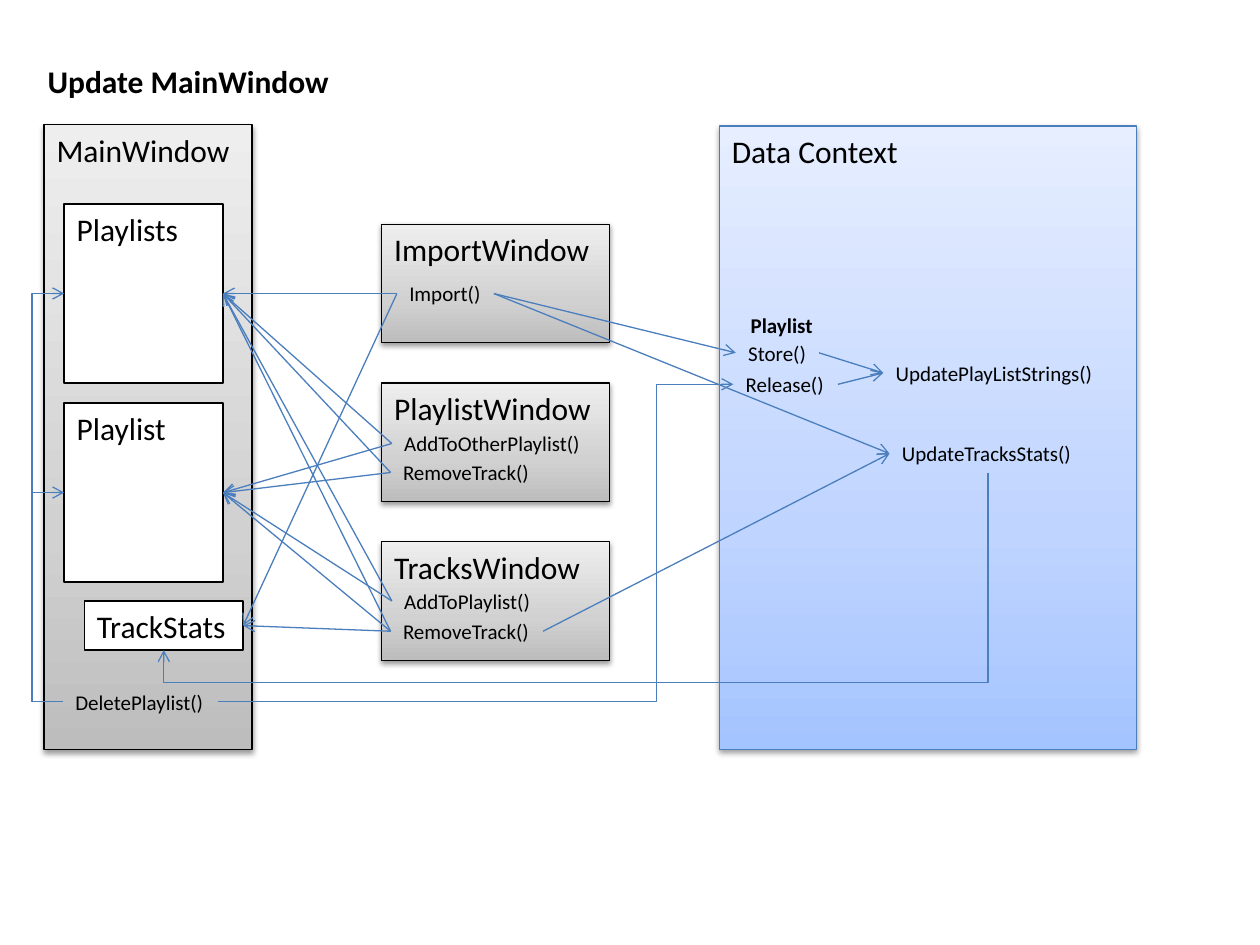
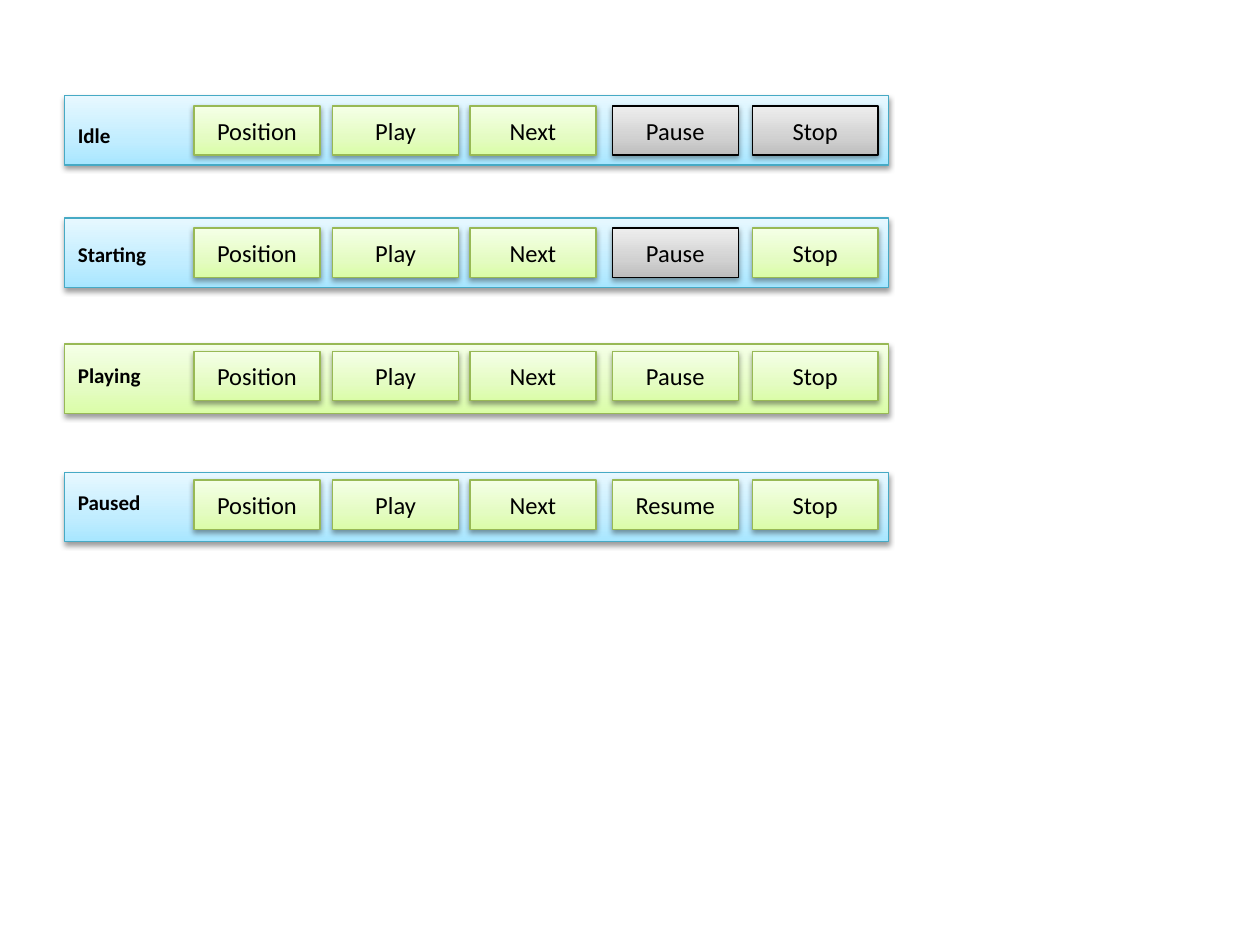
from lxml import etree
from copy import deepcopy
from pptx import Presentation
from pptx.dml.color import RGBColor
from pptx.enum.shapes import MSO_CONNECTOR, MSO_SHAPE
from pptx.enum.text import MSO_ANCHOR, MSO_AUTO_SIZE, PP_ALIGN
from pptx.oxml.ns import qn
from pptx.util import Inches, Pt

RECTANGLE = MSO_SHAPE.RECTANGLE
STRAIGHT, ELBOW = MSO_CONNECTOR.STRAIGHT, MSO_CONNECTOR.ELBOW
TOP, MIDDLE = MSO_ANCHOR.TOP, MSO_ANCHOR.MIDDLE
LEFT, CENTER = PP_ALIGN.LEFT, PP_ALIGN.CENTER
FIT_TEXT = MSO_AUTO_SIZE.SHAPE_TO_FIT_TEXT

FONT = "Calibri"
BLACK = RGBColor(0x00, 0x00, 0x00)
WHITE = RGBColor(0xFF, 0xFF, 0xFF)
BLUE_LINE = RGBColor(0x4B, 0x7E, 0xBC)
AQUA_LINE = RGBColor(0x46, 0xAA, 0xC5)
GREEN_LINE = RGBColor(0x98, 0xB9, 0x55)

# Each theme is an outline colour and the gradient colours from bottom to top.
GRAY = (BLACK, (RGBColor(0xBD, 0xBD, 0xBD), RGBColor(0xD1, 0xD1, 0xD1),
                RGBColor(0xEE, 0xEE, 0xEE)))
BLUE = (BLUE_LINE, (RGBColor(0xA4, 0xC4, 0xFF), RGBColor(0xBF, 0xD4, 0xFF),
                    RGBColor(0xE6, 0xEE, 0xFF)))
AQUA = (AQUA_LINE, (RGBColor(0xA7, 0xE6, 0xFF), RGBColor(0xC1, 0xED, 0xFF),
                    RGBColor(0xE7, 0xF8, 0xFF)))
GREEN = (GREEN_LINE, (RGBColor(0xDA, 0xFD, 0xA7), RGBColor(0xE4, 0xFC, 0xC2),
                      RGBColor(0xF5, 0xFF, 0xE7)))
STOPS = (0, 0.35, 1)


def left_of(shape):
    """Return the middle of the left edge."""
    return shape.left, shape.top + shape.height // 2


def right_of(shape):
    """Return the middle of the right edge."""
    return shape.left + shape.width, shape.top + shape.height // 2


def bottom_of(shape):
    """Return the middle of the bottom edge."""
    return shape.left + shape.width // 2, shape.top + shape.height


class Diagram:
    """Hold the deck style and the slide being drawn."""

    def __init__(self):
        """Start an empty 10 by 7.5 inch deck."""
        self.deck = Presentation()
        self.deck.slide_width, self.deck.slide_height = Inches(10), Inches(7.5)
        self.page = None

    def new_page(self):
        """Add a blank slide and make it current."""
        self.page = self.deck.slides.add_slide(self.deck.slide_layouts[6])

    def set_text(self, shape, text, size, bold=False, align=LEFT, anchor=TOP):
        """Put one styled line of text into a shape."""
        frame = shape.text_frame
        frame.text = text
        frame.vertical_anchor = anchor
        para = frame.paragraphs[0]
        para.alignment = align
        for span in para.runs:
            span.font.name, span.font.size = FONT, Pt(size)
            span.font.bold, span.font.color.rgb = bold, BLACK

    def rectangle(self, place, outline, width):
        """Add a rectangle with a plain outline and no shadow."""
        box = self.page.shapes.add_shape(RECTANGLE, *map(Inches, place))
        box.shadow.inherit = False
        box.line.color.rgb, box.line.width = outline, Pt(width)
        return box

    def pane(self, text, *place):
        """Add a white pane with a heading."""
        box = self.rectangle(place, BLACK, 1)
        box.fill.solid()
        box.fill.fore_color.rgb = WHITE
        self.set_text(box, text, 18)
        return box

    def panel(self, theme, *place):
        """Add a gradient rectangle with a soft shadow below it."""
        outline, colors = theme
        box = self.rectangle(place, outline, 0.75)
        box.fill.gradient()
        box.fill.gradient_angle = 90
        properties = box._element.spPr
        stops = properties.find(".//" + qn("a:gsLst"))
        stops.append(deepcopy(stops[-1]))
        for stop, position, color in zip(box.fill.gradient_stops, STOPS, colors):
            stop.position, stop.color.rgb = position, color
        shadow = etree.SubElement(
            properties.find(qn("a:effectLst")), qn("a:outerShdw"),
            blurRad="40000", dist="20000", dir="5400000", rotWithShape="0")
        tint = etree.SubElement(shadow, qn("a:srgbClr"), val=str(BLACK))
        etree.SubElement(tint, qn("a:alpha"), val="38000")
        return box

    def window(self, text, theme, *place):
        """Add a gradient panel with a heading."""
        self.set_text(self.panel(theme, *place), text, 18)

    def button(self, text, theme, left, top):
        """Add a player button."""
        box = self.panel(theme, left, top, 1, 0.39)
        self.set_text(box, text, 14, align=CENTER, anchor=MIDDLE)

    def label(self, text, left, top, width, height=0.3, size=12, bold=False):
        """Add a line of text that does not wrap."""
        box = self.page.shapes.add_textbox(*map(Inches, (left, top, width, height)))
        self.set_text(box, text, size, bold)
        box.text_frame.word_wrap = False
        box.text_frame.auto_size = FIT_TEXT
        return box

    def arrow(self, start, end, kind=STRAIGHT):
        """Add a thin blue arrow between two points."""
        line = self.page.shapes.add_connector(kind, *start, *end)
        line.line.color.rgb, line.line.width = BLUE_LINE, Pt(0.75)
        properties = line._element.spPr
        etree.SubElement(properties.find(qn("a:ln")), qn("a:tailEnd"), type="arrow")
        etree.SubElement(properties, qn("a:effectLst"))
        return line

    def bend(self, line, share):
        """Place the middle leg of an elbow at a share of its length."""
        guides = line._element.spPr.find(".//" + qn("a:avLst"))
        etree.SubElement(guides, qn("a:gd"), name="adj1",
                         fmla=f"val {round(share * 100000)}")

    def side_elbow(self, start, end, via):
        """Add an elbow arrow whose middle leg is upright at x = via."""
        line = self.arrow(start, end, ELBOW)
        self.bend(line, (Inches(via) - start[0]) / (end[0] - start[0]))

    def under_elbow(self, start, end, via):
        """Add an elbow arrow down and to the left, with a level leg at y = via."""
        across, down = start[0] - end[0], end[1] - start[1]
        left = (start[0] + end[0] - down) // 2
        top = (start[1] + end[1] - across) // 2
        line = self.arrow((left, top), (left + down, top + across), ELBOW)
        line._element.spPr.find(qn("a:xfrm")).set("rot", "5400000")
        self.bend(line, (Inches(via) - start[1]) / down)


def draw_updates(diagram):
    """Draw which calls update which parts of the main window."""
    diagram.new_page()
    diagram.label("Update MainWindow", 0.28, 0.44, 2.45, 0.4, 18, True)
    diagram.window("MainWindow", GRAY, 0.35, 0.99, 1.65, 4.96)
    playlists = diagram.pane("Playlists", 0.51, 1.62, 1.26, 1.42)
    playlist = diagram.pane("Playlist", 0.51, 3.2, 1.26, 1.42)
    track_stats = diagram.pane("TrackStats", 0.67, 4.77, 1.26, 0.39)
    for row, name in enumerate(("ImportWindow", "PlaylistWindow", "TracksWindow")):
        diagram.window(name, GRAY, 3.03, 1.78 + 1.26 * row, 1.81, 0.94)
    diagram.window("Data Context", BLUE, 5.71, 1, 3.31, 4.95)

    import_call = diagram.label("Import()", 3.15, 2.18, 0.77)
    add_to_other = diagram.label("AddToOtherPlaylist()", 3.11, 3.37, 1.61)
    remove_from_list = diagram.label("RemoveTrack()", 3.1, 3.6, 1.21)
    add_to_list = diagram.label("AddToPlaylist()", 3.11, 4.62, 1.21)
    remove_track = diagram.label("RemoveTrack()", 3.1, 4.86, 1.21)
    delete = diagram.label("DeletePlaylist()", 0.5, 5.42, 1.23)
    diagram.label("Playlist", 5.86, 2.43, 0.7, bold=True)
    store = diagram.label("Store()", 5.84, 2.65, 0.66)
    release = diagram.label("Release()", 5.82, 2.9, 0.83)
    update_strings = diagram.label("UpdatePlayListStrings()", 7.01, 2.81, 1.78)
    update_stats = diagram.label("UpdateTracksStats()", 7.06, 3.45, 1.56)

    for call in (add_to_other, remove_from_list, add_to_list, remove_track):
        for target in (playlists, playlist):
            diagram.arrow(left_of(call), right_of(target))
    for call, target in ((import_call, playlists), (import_call, track_stats),
                         (remove_track, track_stats)):
        diagram.arrow(left_of(call), right_of(target))
    for call, target in ((import_call, store), (import_call, update_stats),
                         (remove_track, update_stats), (store, update_strings),
                         (release, update_strings)):
        diagram.arrow(right_of(call), left_of(target))
    diagram.side_elbow(right_of(delete), left_of(release), 5.21)
    for target in (playlists, playlist):
        diagram.side_elbow(left_of(delete), left_of(target), 0.25)
    diagram.under_elbow(bottom_of(update_stats), bottom_of(track_stats), 5.42)


def draw_states(diagram):
    """Draw the buttons that are enabled in each player state."""
    diagram.new_page()
    button_lefts = (1.54, 2.64, 3.73, 4.86, 5.97)
    # State, bar theme, tops of bar, label and buttons, label width,
    # fourth button, disabled buttons
    states = (
        ("Idle", AQUA, 0.76, 0.92, 0.84, 0.46, "Pause", ("Pause", "Stop")),
        ("Starting", AQUA, 1.73, 1.87, 1.81, 0.75, "Pause", ("Pause",)),
        ("Playing", GREEN, 2.73, 2.83, 2.79, 0.71, "Pause", ()),
        ("Paused", AQUA, 3.75, 3.84, 3.81, 0.7, "Resume", ()),
    )
    for state, theme, top, label_top, button_top, width, toggle, disabled in states:
        diagram.panel(theme, 0.51, top, 6.54, 0.55)
        diagram.label(state, 0.52, label_top, width, bold=True)
        names = ("Position", "Play", "Next", toggle, "Stop")
        for name, left in zip(names, button_lefts):
            diagram.button(name, GRAY if name in disabled else GREEN, left, button_top)


diagram = Diagram()
draw_updates(diagram)
draw_states(diagram)
diagram.deck.save("out.pptx")
